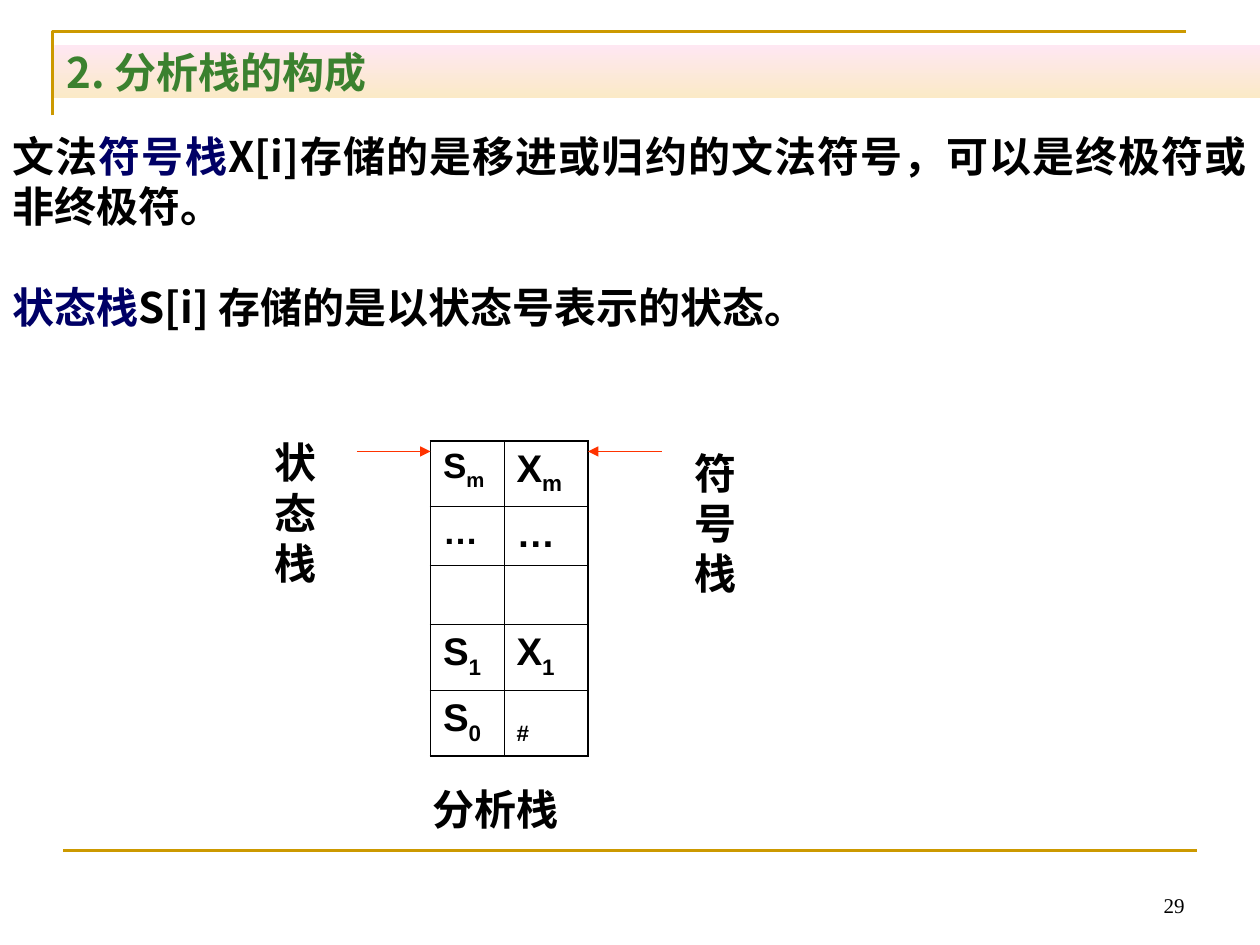
from lxml import etree
from pptx import Presentation
from pptx import util as u
from pptx.dml.color import RGBColor
from pptx.enum import shapes, text
from pptx.oxml.ns import qn

Pt = u.Pt
CJK, LATIN, SERIF = "Noto Sans CJK SC", "Arial", "Times New Roman"
BLACK, NAVY, GREEN, GOLD, RED = "000000", "000066", "3B812F", "CC9900", "FF3300"
HEADING = {"size": Pt(24), "bold": True, "name": CJK}
SUBSCRIPT = "-25000"


def color(value):
    return RGBColor.from_string(value)


def apply(target, values):
    for name, value in values.items():
        setattr(target, name, value)


class StackSlide:
    def __init__(self, presentation):
        self.slide = presentation.slides.add_slide(presentation.slide_layouts[1])

    def add_run(self, paragraph, content, style, ink=BLACK, baseline=None):
        run = paragraph.add_run()
        run.text = content
        run.font.color.rgb = color(ink)
        apply(run.font, style)
        properties = run.font._element
        etree.SubElement(properties, qn("a:ea")).set("typeface", style["name"])
        if baseline:
            properties.set("baseline", baseline)

    def place(self, shape, box, **frame_values):
        """Move a shape and set up its text frame."""
        for name, value in zip(("left", "top", "width", "height"), box):
            setattr(shape, name, Pt(value))
        apply(shape.text_frame, {
            "word_wrap": True, "auto_size": text.MSO_AUTO_SIZE.NONE,
            "margin_left": Pt(7.2), "margin_right": Pt(7.2),
            "margin_top": Pt(3.6), "margin_bottom": Pt(3.6), **frame_values})
        return shape.text_frame

    def title(self, content, box, top_color, bottom_color):
        shape = self.slide.shapes.title
        frame = self.place(shape, box, vertical_anchor=text.MSO_ANCHOR.MIDDLE)
        shape.fill.gradient()
        shape.fill.gradient_angle = 270
        for stop, ink, position in zip(shape.fill.gradient_stops,
                                       (top_color, bottom_color), (0, 1)):
            stop.color.rgb = color(ink)
            stop.position = position
        paragraph = frame.paragraphs[0]
        paragraph.alignment = text.PP_ALIGN.LEFT
        self.add_run(paragraph, content, HEADING, GREEN)

    def body(self, paragraphs, box, gap, margin_top):
        frame = self.place(self.slide.placeholders[1], box, margin_top=Pt(margin_top),
                           vertical_anchor=text.MSO_ANCHOR.TOP)
        for index, runs in enumerate(paragraphs):
            paragraph = frame.add_paragraph() if index else frame.paragraphs[0]
            properties = paragraph._p.get_or_add_pPr()
            properties.set("marL", "0")
            properties.set("indent", "0")
            etree.SubElement(properties, qn("a:buNone"))
            apply(paragraph, {"alignment": text.PP_ALIGN.JUSTIFY,
                              "space_before": Pt(gap if index else 0)})
            for content, ink in runs:
                self.add_run(paragraph, content, HEADING, ink)

    def label(self, content, box, style=HEADING, align=text.PP_ALIGN.LEFT,
              anchor=text.MSO_ANCHOR.TOP):
        shape = self.slide.shapes.add_textbox(0, 0, 0, 0)
        paragraph = self.place(shape, box, vertical_anchor=anchor).paragraphs[0]
        paragraph.alignment = align
        self.add_run(paragraph, content, style)

    def line(self, start, end, ink, width, arrow=False):
        connector = self.slide.shapes.add_connector(
            shapes.MSO_CONNECTOR.STRAIGHT, *map(Pt, (*start, *end)))
        connector.line.color.rgb = color(ink)
        connector.line.width = Pt(width)
        if arrow:
            etree.SubElement(connector.line._get_or_add_ln(),
                             qn("a:tailEnd")).set("type", "triangle")
        etree.SubElement(connector._element.spPr, qn("a:effectLst"))

    def corner(self, points, ink, width):
        builder = self.slide.shapes.build_freeform(*points[0], scale=Pt(1))
        builder.add_line_segments(points[1:], close=False)
        shape = builder.convert_to_shape()
        shape.shadow.inherit = False
        shape.fill.background()
        shape.line.color.rgb = color(ink)
        shape.line.width = Pt(width)

    def border(self, cell, side, width):
        edge = etree.SubElement(cell._tc.get_or_add_tcPr(), qn(f"a:ln{side}"))
        edge.set("w", str(Pt(width)))
        fill = etree.SubElement(edge, qn("a:solidFill"))
        etree.SubElement(fill, qn("a:srgbClr")).set("val", BLACK)

    def table(self, left, top, widths, heights, cells):
        table = self.slide.shapes.add_table(
            len(heights), len(widths), Pt(left), Pt(top),
            Pt(sum(widths)), Pt(sum(heights))).table
        apply(table, {"first_row": False, "horz_banding": False})
        for column, width in zip(table.columns, widths):
            column.width = Pt(width)
        last_row, last_column = len(heights) - 1, len(widths) - 1
        for r, height in enumerate(heights):
            table.rows[r].height = Pt(height)
            for c, (letter, index, size) in enumerate(cells[r]):
                cell = table.cell(r, c)
                outer = {"L": c == 0, "R": c == last_column,
                         "T": r == 0, "B": r == last_row}
                for side, is_outer in outer.items():
                    self.border(cell, side, 1.08 if is_outer else 0.45)
                cell.fill.background()
                style = {"size": Pt(size), "bold": True, "name": LATIN}
                paragraph = cell.text_frame.paragraphs[0]
                if letter:
                    self.add_run(paragraph, letter, style)
                if index:
                    self.add_run(paragraph, index, style, baseline=SUBSCRIPT)


def main():
    presentation = Presentation()
    presentation.slide_width, presentation.slide_height = Pt(720), Pt(540)
    page = StackSlide(presentation)

    page.corner([(30, 66), (30, 18), (678, 18)], GOLD, 1.5)
    page.line((36, 486), (684, 486), GOLD, 1.5)
    page.title("2. 分析栈的构成", (31, 26, 689, 30), "FEE7F2", "FBEAC7")
    page.body([
        [("文法", BLACK), ("符号栈", NAVY),
         ("X[i]存储的是移进或归约的文法符号，可以是终极符或非终极符。", BLACK)],
        [("状态栈", NAVY), ("S[i] 存储的是以状态号表示的状态。", BLACK)],
    ], (0, 42, 720, 180), gap=28.8, margin_top=32.4)

    left, top, widths = 246, 252, (42, 48)
    page.table(left, top, widths, (37.5, 33.75, 33.75, 37.5, 37.5), [
        [("S", "m", 20), ("X", "m", 22)],
        [("…", "", 20), ("…", "", 22)],
        [("", "", 22), ("", "", 22)],
        [("S", "1", 22), ("X", "1", 22)],
        [("S", "0", 22), ("", "#", 22)],
    ])
    right, pointer_y, pointer_length = left + sum(widths), top + 6, 42
    for tip, tail in ((left, left - pointer_length), (right, right + pointer_length)):
        page.line((tail, pointer_y), (tip, pointer_y), RED, 0.75, arrow=True)

    page.label("状态栈", (150, 246, 42, 94))
    page.label("符号栈", (390, 252, 36, 94))
    page.label("分析栈", (240, 444, 162, 36))
    page.label("29", (516, 492, 168, 36), {"size": Pt(12), "name": SERIF},
               text.PP_ALIGN.RIGHT, text.MSO_ANCHOR.BOTTOM)
    presentation.save("out.pptx")


if __name__ == "__main__":
    main()
